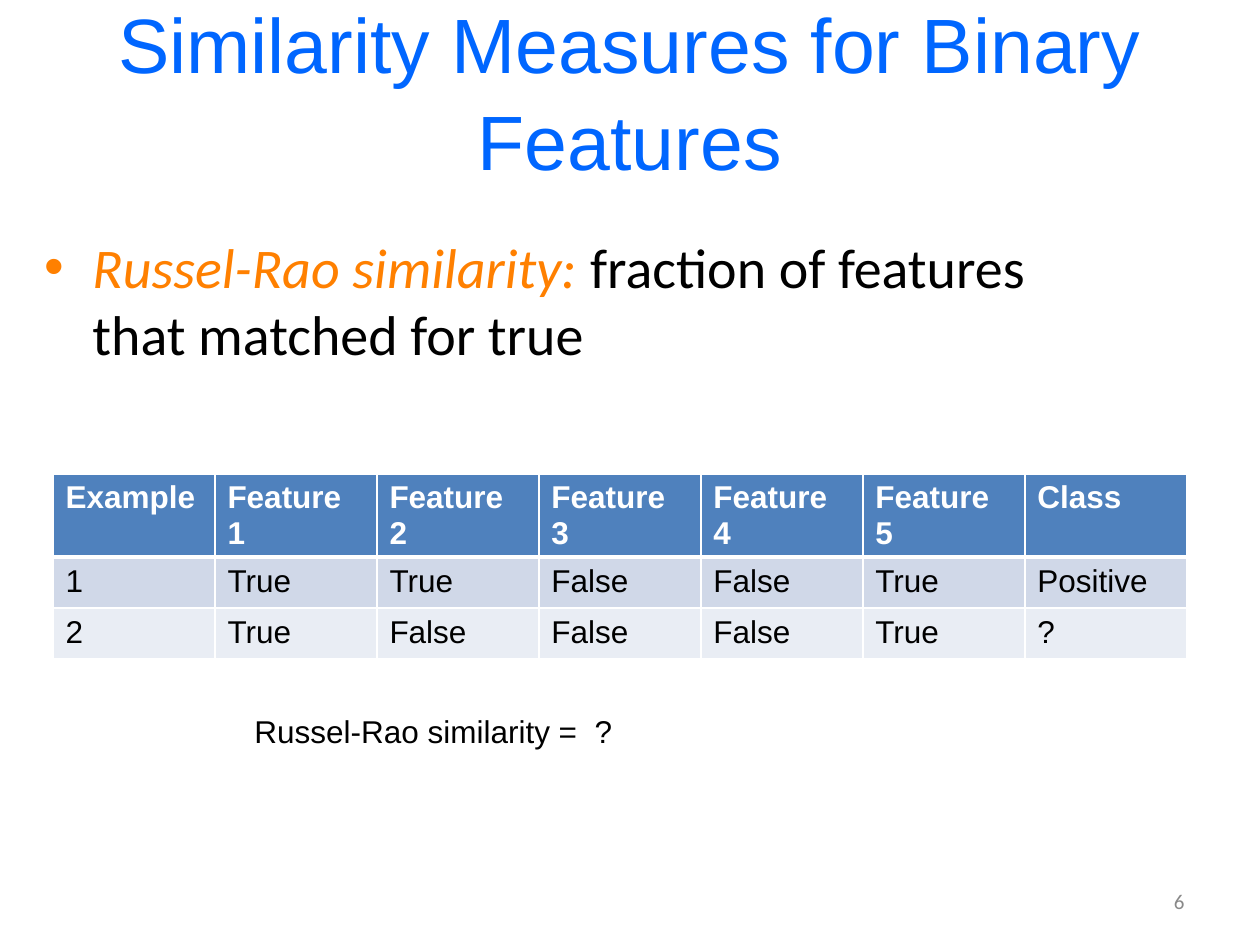
from dataclasses import dataclass

from lxml import etree
from pptx import Presentation
from pptx.dml.color import RGBColor
from pptx.enum.text import MSO_ANCHOR, MSO_AUTO_SIZE, PP_ALIGN
from pptx.oxml.ns import qn
from pptx.util import Emu, Pt

TOP, MIDDLE = MSO_ANCHOR.TOP, MSO_ANCHOR.MIDDLE
LEFT, CENTER, RIGHT = PP_ALIGN.LEFT, PP_ALIGN.CENTER, PP_ALIGN.RIGHT
NO_FIT, GROW = MSO_AUTO_SIZE.NONE, MSO_AUTO_SIZE.SHAPE_TO_FIT_TEXT

BLUE = RGBColor(0x00, 0x66, 0xFF)
ORANGE = RGBColor(0xFF, 0x80, 0x00)
BLACK = RGBColor(0x00, 0x00, 0x00)
WHITE = RGBColor(0xFF, 0xFF, 0xFF)
GRAY = RGBColor(0x89, 0x89, 0x89)
HEADER_FILL = RGBColor(0x4F, 0x81, 0xBD)
ROW_FILLS = (RGBColor(0xD0, 0xD8, 0xE8), RGBColor(0xE9, 0xED, 0xF4))

PX_PER_INCH = 126
BULLET_INDENT = 48
COLUMN_WIDTH, ROW_HEIGHT = 162, 51

EXAMPLES = (
    ("Example", *(f"Feature {number}" for number in range(1, 6)), "Class"),
    ("1", "True", "True", "False", "False", "True", "Positive"),
    ("2", "True", "False", "False", "False", "True", "?"),
)


@dataclass(frozen=True)
class Span:
    text: str
    size: int
    color: RGBColor
    font: str = "Arial"
    bold: bool = False
    italic: bool = False


@dataclass(frozen=True)
class TextBox:
    left: int
    top: int
    width: int
    height: int
    spans: tuple[Span, ...]
    align: PP_ALIGN = LEFT
    anchor: MSO_ANCHOR = TOP
    wrap: bool = True
    grow: bool = False
    line_spacing: float = 1.0
    bullet: RGBColor | None = None


TITLE = TextBox(
    63, 10, 1134, 158,
    (Span("Similarity Measures for Binary Features", 44, BLUE),),
    align=CENTER, anchor=MIDDLE, line_spacing=1.05,
)
PAGE_NUMBER = TextBox(
    903, 876, 294, 50, (Span("6", 12, GRAY, "Calibri"),),
    align=RIGHT, anchor=MIDDLE,
)
QUESTION = TextBox(
    242, 706, 387, 50, (Span("Russel-Rao similarity =  ?", 18, BLACK),),
    wrap=False, grow=True,
)
DEFINITION = TextBox(
    32, 226, 1040, 149,
    (
        Span("Russel-Rao similarity:", 32, ORANGE, "Calibri", italic=True),
        Span(" fraction of features that matched for true", 32, BLACK, "Calibri"),
    ),
    grow=True, bullet=ORANGE,
)


def px(length: int) -> Emu:
    return Emu(round(length * 914400 / PX_PER_INCH))


def add_span(para, span: Span) -> None:
    run = para.add_run()
    run.text = span.text
    run.font.name = span.font
    run.font.size = Pt(span.size)
    run.font.bold = span.bold
    run.font.italic = span.italic
    run.font.color.rgb = span.color


def add_bullet(para, color: RGBColor) -> None:
    properties = para._p.get_or_add_pPr()
    properties.set("marL", str(px(BULLET_INDENT)))
    properties.set("indent", str(-px(BULLET_INDENT)))
    bullet_color = etree.SubElement(properties, qn("a:buClr"))
    etree.SubElement(bullet_color, qn("a:srgbClr"), val=str(color))
    etree.SubElement(properties, qn("a:buFont"), typeface="Arial")
    etree.SubElement(properties, qn("a:buChar"), char="•")


def add_text(page, item: TextBox) -> None:
    box = page.shapes.add_textbox(
        px(item.left), px(item.top), px(item.width), px(item.height)
    )
    frame = box.text_frame
    frame.word_wrap = item.wrap
    frame.auto_size = GROW if item.grow else NO_FIT
    frame.vertical_anchor = item.anchor
    para = frame.paragraphs[0]
    para.alignment = item.align
    para.line_spacing = item.line_spacing
    if item.bullet is not None:
        add_bullet(para, item.bullet)
    for span in item.spans:
        add_span(para, span)


def set_borders(cell, top: int, bottom: int) -> None:
    properties = cell._tc.get_or_add_tcPr()
    widths = {"lnL": 1, "lnR": 1, "lnT": top, "lnB": bottom}
    for position, (side, width) in enumerate(widths.items()):
        line = etree.Element(qn(f"a:{side}"), w=str(Pt(width)))
        fill = etree.SubElement(line, qn("a:solidFill"))
        etree.SubElement(fill, qn("a:srgbClr"), val=str(WHITE))
        properties.insert(position, line)


def add_examples(page, left: int, top: int) -> None:
    rows, columns = len(EXAMPLES), len(EXAMPLES[0])
    table = page.shapes.add_table(
        rows, columns, px(left), px(top),
        px(columns * COLUMN_WIDTH), px(rows * ROW_HEIGHT),
    ).table
    for row_index, values in enumerate(EXAMPLES):
        header = row_index == 0
        for column_index, value in enumerate(values):
            cell = table.cell(row_index, column_index)
            cell.fill.solid()
            cell.fill.fore_color.rgb = (
                HEADER_FILL if header else ROW_FILLS[row_index - 1]
            )
            set_borders(
                cell, top=3 if row_index == 1 else 1, bottom=3 if header else 1
            )
            color = WHITE if header else BLACK
            add_span(
                cell.text_frame.paragraphs[0], Span(value, 18, color, bold=header)
            )


def main() -> None:
    deck = Presentation()
    deck.slide_width, deck.slide_height = px(1260), px(945)
    page = deck.slides.add_slide(deck.slide_layouts[6])

    # Title
    add_text(page, TITLE)

    # Table of examples
    add_examples(page, left=53, top=474)

    # Page number, question and definition
    for item in (PAGE_NUMBER, QUESTION, DEFINITION):
        add_text(page, item)

    deck.save("out.pptx")


if __name__ == "__main__":
    main()
